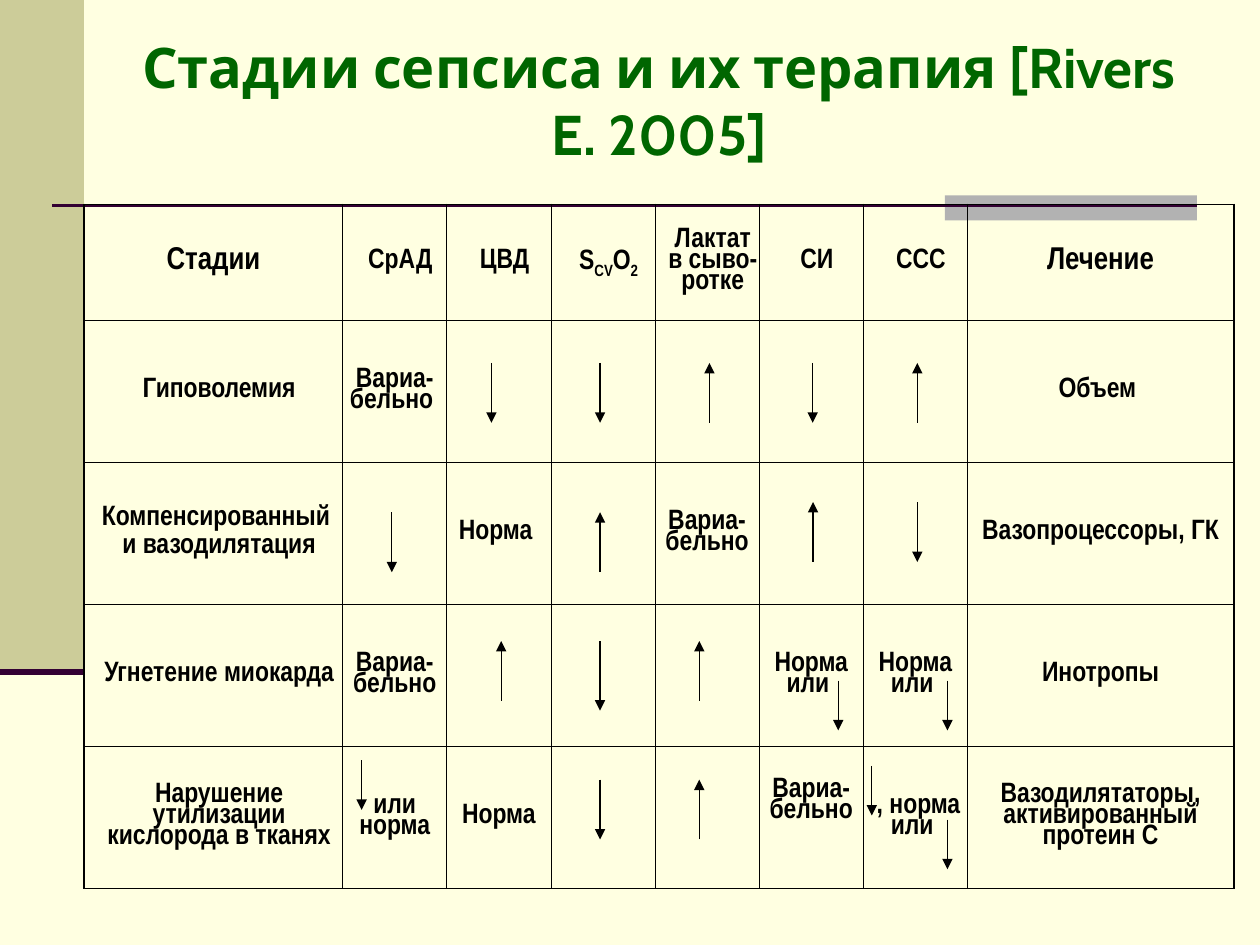
from dataclasses import dataclass

from lxml.etree import SubElement
from pptx import Presentation
from pptx.dml.color import RGBColor
from pptx.enum.shapes import MSO_CONNECTOR, MSO_SHAPE
from pptx.enum.text import MSO_ANCHOR, MSO_AUTO_SIZE, PP_ALIGN
from pptx.oxml.ns import qn
from pptx.util import Pt

CREAM = RGBColor(0xFF, 0xFF, 0xE1)
KHAKI = RGBColor(0xCC, 0xCC, 0x99)
GREY = RGBColor(0xB2, 0xB2, 0xB2)
PLUM = RGBColor(0x33, 0x00, 0x33)
GREEN = RGBColor(0x00, 0x66, 0x00)
BLACK = RGBColor(0x00, 0x00, 0x00)

TABLE_LEFT, TABLE_TOP = 48.2, 116.9
COLUMN_WIDTHS = [147.6] + [59.5] * 6 + [152.2]
ROW_HEIGHTS = [66.3] + [81.15] * 4
THIN, THICK = 0.45, 1.08
WIDE_MARGIN, NARROW_MARGIN = 7.2, 0.72

# "\n" parts paragraphs; every second piece between "|" is a subscript.
STAGES = [
    ["Стадии", "СрАД", "ЦВД", "S|CV|O|2", "Лактат в сыво-ротке", "СИ", "ССС", "Лечение"],
    ["Гиповолемия", "Вариа-бельно ", "", "", "", "", "", "Объем "],
    ["Компенсированный \nи вазодилятация", "", "Норма ", "", "Вариа-бельно", "", "",
     "Вазопроцессоры, ГК"],
    ["Угнетение миокарда", "Вариа-бельно", "", "", "", "Норма или ", "Норма или ",
     "Инотропы"],
    ["Нарушение утилизации кислорода в тканях", "или норма", "Норма", "", "",
     "Вариа-бельно", " , норма или ", "Вазодилятаторы, активированный протеин С"],
]


@dataclass
class Block:
    left: float
    top: float
    width: float
    height: float
    color: RGBColor


@dataclass
class Rule:
    x1: float
    y1: float
    x2: float
    y2: float
    color: RGBColor = BLACK
    width: float = 0.75


@dataclass
class Arrow:
    """Vertical arrow; a negative length points up from its lower end."""
    x: float
    start: float
    length: float


BLOCKS = [Block(0, 0, 48, 384, KHAKI), Block(540, 111.6, 144, 14.4, GREY)]
RULES = [Rule(30, 117.6, 684, 117.6, PLUM, 1.5), Rule(0, 384, 48, 384, PLUM, 3.5)]
LONG, SHORT = 34.2, 28.4
ARROWS = [
    # Hypovolemia
    Arrow(280.8, 207.4, LONG), Arrow(342.9, 207.4, LONG), Arrow(405.4, 241.6, -LONG),
    Arrow(464.4, 207.4, LONG), Arrow(524.2, 241.6, -LONG),
    # Compensated stage
    Arrow(223.9, 292.8, LONG), Arrow(342.9, 326.9, -LONG),
    Arrow(464.6, 321.1, -LONG), Arrow(524.2, 287, LONG),
    # Myocardial depression
    Arrow(286.4, 400.5, -LONG), Arrow(342.9, 366.3, 39.8), Arrow(399.6, 400.5, -LONG),
    Arrow(479, 389, SHORT), Arrow(541.4, 389, SHORT),
    # Impaired oxygen use
    Arrow(206.7, 434.4, SHORT), Arrow(342.9, 445.5, LONG), Arrow(399.6, 479.7, -LONG),
    Arrow(498.2, 437.6, SHORT), Arrow(541.4, 468.4, SHORT),
]


def apply(target, **values) -> None:
    for name, value in values.items():
        setattr(target, name, value)


def draw_block(page, block: Block) -> None:
    box = page.shapes.add_shape(MSO_SHAPE.RECTANGLE, Pt(block.left), Pt(block.top),
                                Pt(block.width), Pt(block.height))
    box.shadow.inherit = False
    box.fill.solid()
    box.fill.fore_color.rgb = block.color
    box.line.fill.background()


def draw_rule(page, rule: Rule):
    line = page.shapes.add_connector(MSO_CONNECTOR.STRAIGHT, Pt(rule.x1), Pt(rule.y1),
                                     Pt(rule.x2), Pt(rule.y2))
    line.line.color.rgb = rule.color
    line.line.width = Pt(rule.width)
    SubElement(line._element.spPr, qn("a:effectLst"))
    return line


def draw_arrow(page, arrow: Arrow) -> None:
    line = draw_rule(page, Rule(arrow.x, arrow.start, arrow.x, arrow.start + arrow.length))
    SubElement(line.line._get_or_add_ln(), qn("a:tailEnd"), type="triangle")


def write_title(page) -> None:
    title = page.shapes.title
    apply(title, left=Pt(70.6), top=Pt(20.2), width=Pt(612), height=Pt(73.4))
    frame = title.text_frame
    apply(frame, text="Стадии сепсиса и их терапия [Rivers E. 2005]", word_wrap=True,
          auto_size=MSO_AUTO_SIZE.NONE, vertical_anchor=MSO_ANCHOR.MIDDLE)
    para = frame.paragraphs[0]
    para.alignment = PP_ALIGN.CENTER
    font = para.runs[0].font
    apply(font, name="Cabin", size=Pt(32), bold=True)
    font.color.rgb = GREEN


def set_borders(cell, widths: dict[str, float]) -> None:
    properties = cell._tc.get_or_add_tcPr()
    for side, width in widths.items():
        line = SubElement(properties, qn(f"a:ln{side}"), w=str(Pt(width)))
        fill = SubElement(line, qn("a:solidFill"))
        SubElement(fill, qn("a:srgbClr"), val=str(BLACK))


def write_cell(cell, text: str, size: float) -> None:
    frame = cell.text_frame
    for index, part in enumerate(text.split("\n")):
        para = frame.add_paragraph() if index else frame.paragraphs[0]
        apply(para, alignment=PP_ALIGN.CENTER, line_spacing=0.8)
        if index:
            para.space_before = Pt(4)
        for position, piece in enumerate(part.split("|")):
            span = para.add_run()
            span.text = piece
            apply(span.font, name="Arial Narrow", size=Pt(size), bold=True)
            span.font.color.rgb = BLACK
            if position % 2:
                span._r.get_or_add_rPr().set("baseline", "-25000")


def draw_table(page) -> None:
    last_row, last_column = len(ROW_HEIGHTS) - 1, len(COLUMN_WIDTHS) - 1
    table = page.shapes.add_table(
        len(ROW_HEIGHTS), len(COLUMN_WIDTHS), Pt(TABLE_LEFT), Pt(TABLE_TOP),
        Pt(sum(COLUMN_WIDTHS)), Pt(sum(ROW_HEIGHTS))).table
    apply(table, first_row=False, horz_banding=False)
    for column, width in zip(table.columns, COLUMN_WIDTHS):
        column.width = Pt(width)
    for row, height in zip(table.rows, ROW_HEIGHTS):
        row.height = Pt(height)
    for r, texts in enumerate(STAGES):
        for c, text in enumerate(texts):
            cell = table.cell(r, c)
            corner = r == 0 and c in (0, last_column)
            left = WIDE_MARGIN if r == 0 or c == 0 else NARROW_MARGIN
            right = WIDE_MARGIN if corner else NARROW_MARGIN
            apply(cell, margin_left=Pt(left), margin_right=Pt(right), margin_top=Pt(3.6),
                  margin_bottom=Pt(3.6), vertical_anchor=MSO_ANCHOR.MIDDLE)
            set_borders(cell, {"L": THIN if c else THICK,
                               "R": THICK if c == last_column else THIN,
                               "T": THIN if r else THICK,
                               "B": THICK if r == last_row else THIN})
            cell.fill.background()
            if text:
                write_cell(cell, text, 18 if corner else 16)
    table.cell(last_row, 5).margin_bottom = Pt(22)


def main() -> None:
    deck = Presentation()
    apply(deck, slide_width=Pt(720), slide_height=Pt(540))
    page = deck.slides.add_slide(deck.slide_layouts[5])
    page.background.fill.solid()
    page.background.fill.fore_color.rgb = CREAM
    for block in BLOCKS:
        draw_block(page, block)
    for rule in RULES:
        draw_rule(page, rule)
    write_title(page)
    draw_table(page)
    for arrow in ARROWS:
        draw_arrow(page, arrow)
    deck.save("out.pptx")


if __name__ == "__main__":
    main()
